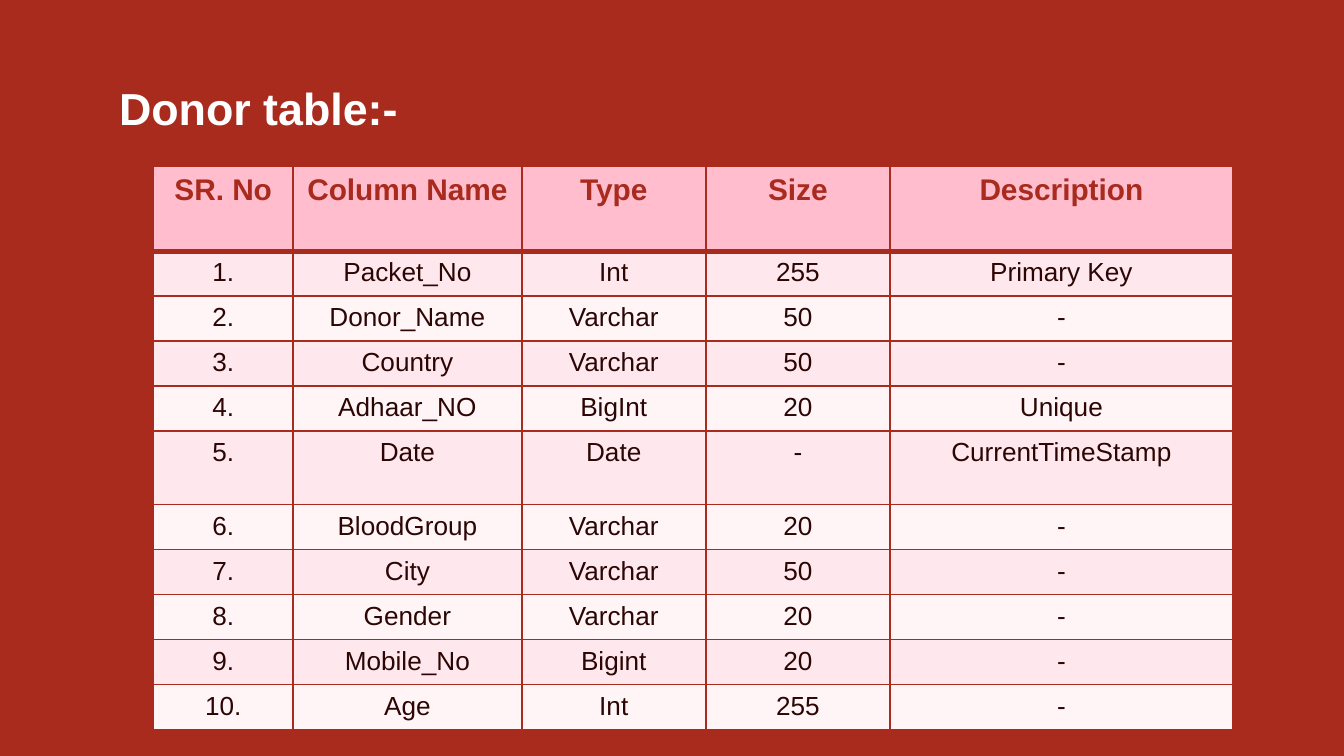
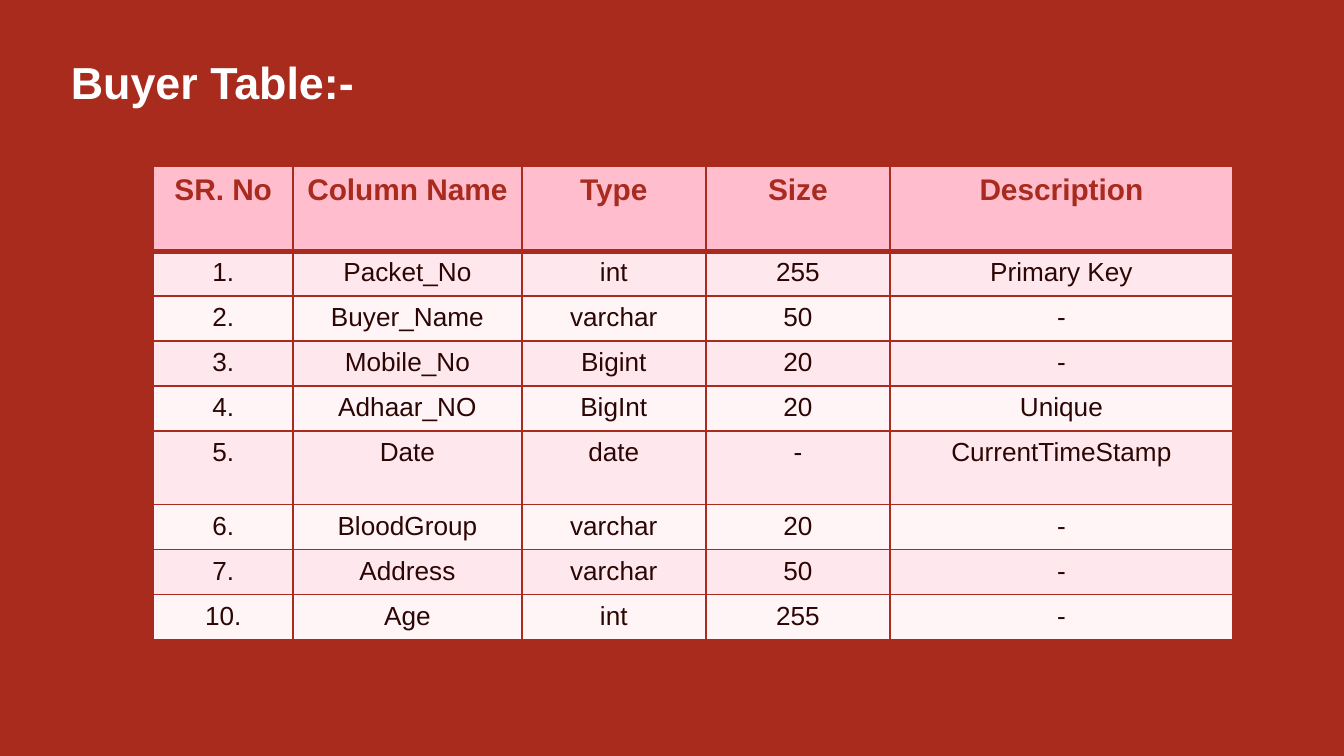
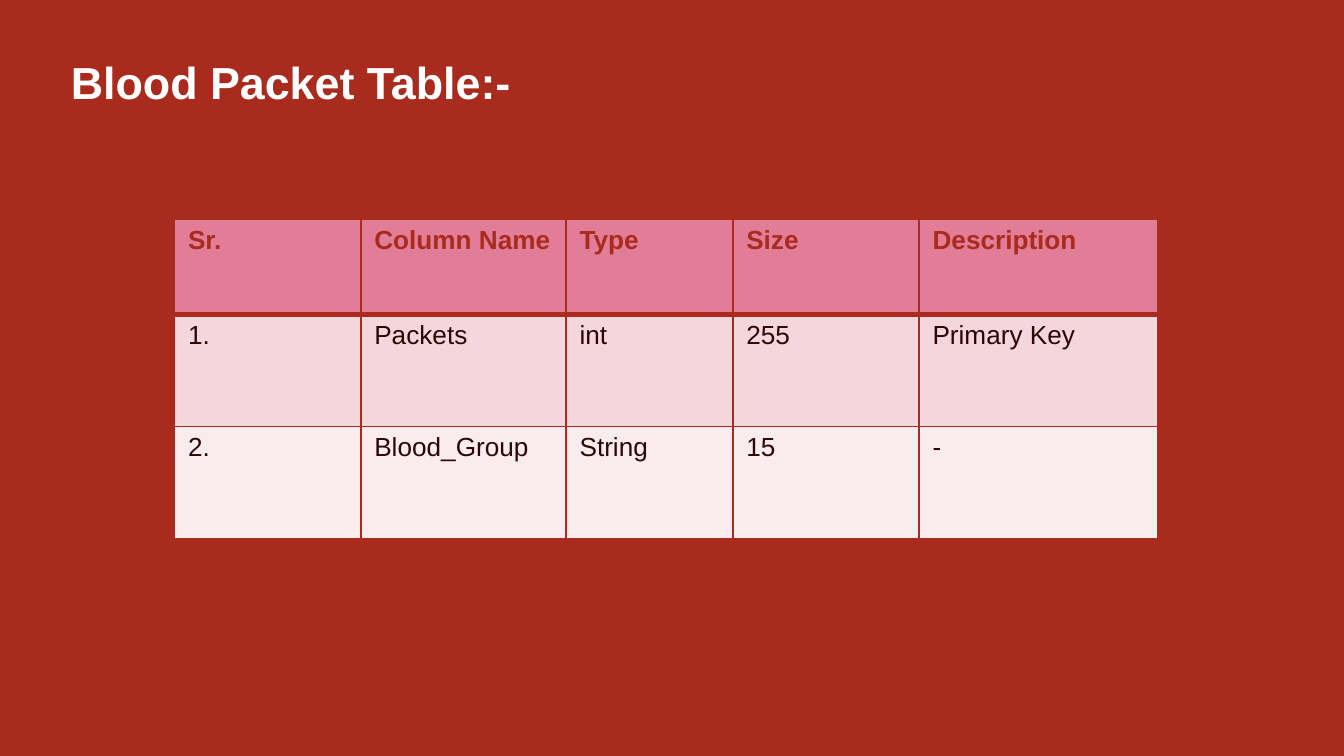
from dataclasses import dataclass

from lxml.etree import Element, SubElement
from pptx import Presentation
from pptx.dml.color import RGBColor
from pptx.enum.text import MSO_ANCHOR, PP_ALIGN
from pptx.oxml.ns import qn
from pptx.util import Cm, Pt


@dataclass(frozen=True)
class Theme:
    font: str = "Arial"
    red: str = "A82B1E"
    white: str = "FFFFFF"
    ink: str = "2C0604"
    pink: tuple = ("FFBDCE", "FFE8ED", "FFF4F6")
    rose: tuple = ("E17D96", "F4D7DD", "F9ECEF")
    title: int = 24
    head: int = 16
    body: int = 14
    thin: int = 1
    thick: int = 3


class Deck:
    def __init__(self, theme):
        self.theme = theme
        self.show = Presentation()
        self.show.slide_width = Cm(25.4)
        self.show.slide_height = Cm(14.29)
        self.slide = None

    def page(self):
        self.slide = self.show.slides.add_slide(self.show.slide_layouts[6])
        fill = self.slide.background.fill
        fill.solid()
        fill.fore_color.rgb = RGBColor.from_string(self.theme.red)

    def label(self, frame, text, size, color, bold, align):
        frame.text = text
        para = frame.paragraphs[0]
        para.alignment = align
        font = para.runs[0].font
        font.name = self.theme.font
        font.size = Pt(size)
        font.bold = bold
        font.color.rgb = RGBColor.from_string(color)

    def title(self, text, left=1.09, top=0.74):
        box = self.slide.shapes.add_textbox(Cm(left), Cm(top), Cm(21.4), Cm(1.6))
        frame = box.text_frame
        frame.word_wrap = True
        frame.vertical_anchor = MSO_ANCHOR.MIDDLE
        frame.margin_left = frame.margin_right = Cm(0.25)
        frame.margin_top = frame.margin_bottom = Cm(0.25)
        self.label(frame, text, self.theme.title, self.theme.white, True, PP_ALIGN.LEFT)

    def edge(self, cell, row):
        props = cell._tc.get_or_add_tcPr()
        for spot, side in enumerate("LRTB"):
            heavy = (row, side) in ((0, "B"), (1, "T"))
            width = self.theme.thick if heavy else self.theme.thin
            line = Element(qn(f"a:ln{side}"), w=str(Pt(width)))
            paint = SubElement(line, qn("a:solidFill"))
            SubElement(paint, qn("a:srgbClr"), val=self.theme.red)
            props.insert(spot, line)

    def table(self, rows, left, top, wide, high, tones, size, align):
        shape = self.slide.shapes.add_table(
            len(rows), len(wide), Cm(left), Cm(top), Cm(sum(wide)), Cm(sum(high)))
        grid = shape.table
        grid.horz_banding = False
        for col, width in zip(grid.columns, wide):
            col.width = Cm(width)
        for r, (texts, height) in enumerate(zip(rows, high)):
            grid.rows[r].height = Cm(height)
            first = r == 0
            tone = tones[0] if first else tones[2 - r % 2]
            for c, text in enumerate(texts):
                cell = grid.cell(r, c)
                cell.fill.solid()
                cell.fill.fore_color.rgb = RGBColor.from_string(tone)
                self.edge(cell, r)
                self.label(cell.text_frame, text,
                           size if first else self.theme.body,
                           self.theme.red if first else self.theme.ink,
                           first, align)

    def schema(self, rows):
        high = [1.6] + [1.39 if row[1] == "Date" else 0.85 for row in rows]
        self.table([HEAD] + rows, 2.9, 3.15, (2.64, 4.32, 3.48, 3.48, 6.48), high,
                   self.theme.pink, self.theme.head, PP_ALIGN.CENTER)


HEAD = ("SR. No", "Column Name", "Type", "Size", "Description")

DONOR = [
    ("1.", "Packet_No", "Int", "255", "Primary Key"),
    ("2.", "Donor_Name", "Varchar", "50", "-"),
    ("3.", "Country", "Varchar", "50", "-"),
    ("4.", "Adhaar_NO", "BigInt", "20", "Unique"),
    ("5.", "Date", "Date", "-", "CurrentTimeStamp"),
    ("6.", "BloodGroup", "Varchar", "20", "-"),
    ("7.", "City", "Varchar", "50", "-"),
    ("8.", "Gender", "Varchar", "20", "-"),
    ("9.", "Mobile_No", "Bigint", "20", "-"),
    ("10.", "Age", "Int", "255", "-"),
]

BUYER = [
    ("1.", "Packet_No", "int", "255", "Primary Key"),
    ("2.", "Buyer_Name", "varchar", "50", "-"),
    ("3.", "Mobile_No", "Bigint", "20", "-"),
    ("4.", "Adhaar_NO", "BigInt", "20", "Unique"),
    ("5.", "Date", "date", "-", "CurrentTimeStamp"),
    ("6.", "BloodGroup", "varchar", "20", "-"),
    ("7.", "Address", "varchar", "50", "-"),
    ("10.", "Age", "int", "255", "-"),
]

PACKET = [
    ("Sr.",) + HEAD[1:],
    ("1.", "Packets", "int", "255", "Primary Key"),
    ("2.", "Blood_Group", "String", "15", "-"),
]


def main():
    theme = Theme()
    deck = Deck(theme)

    deck.page()
    deck.title("Donor table:-", 2, 1.24)
    deck.schema(DONOR)

    deck.page()
    deck.title("Buyer Table:-")
    deck.schema(BUYER)

    deck.page()
    deck.title("Blood Packet Table:-")
    deck.table(PACKET, 3.3, 4.14, (3.52, 3.88, 3.15, 3.52, 4.52), (1.8, 2.12, 2.12),
               theme.rose, theme.body, PP_ALIGN.LEFT)

    deck.show.save("out.pptx")


if __name__ == "__main__":
    main()
